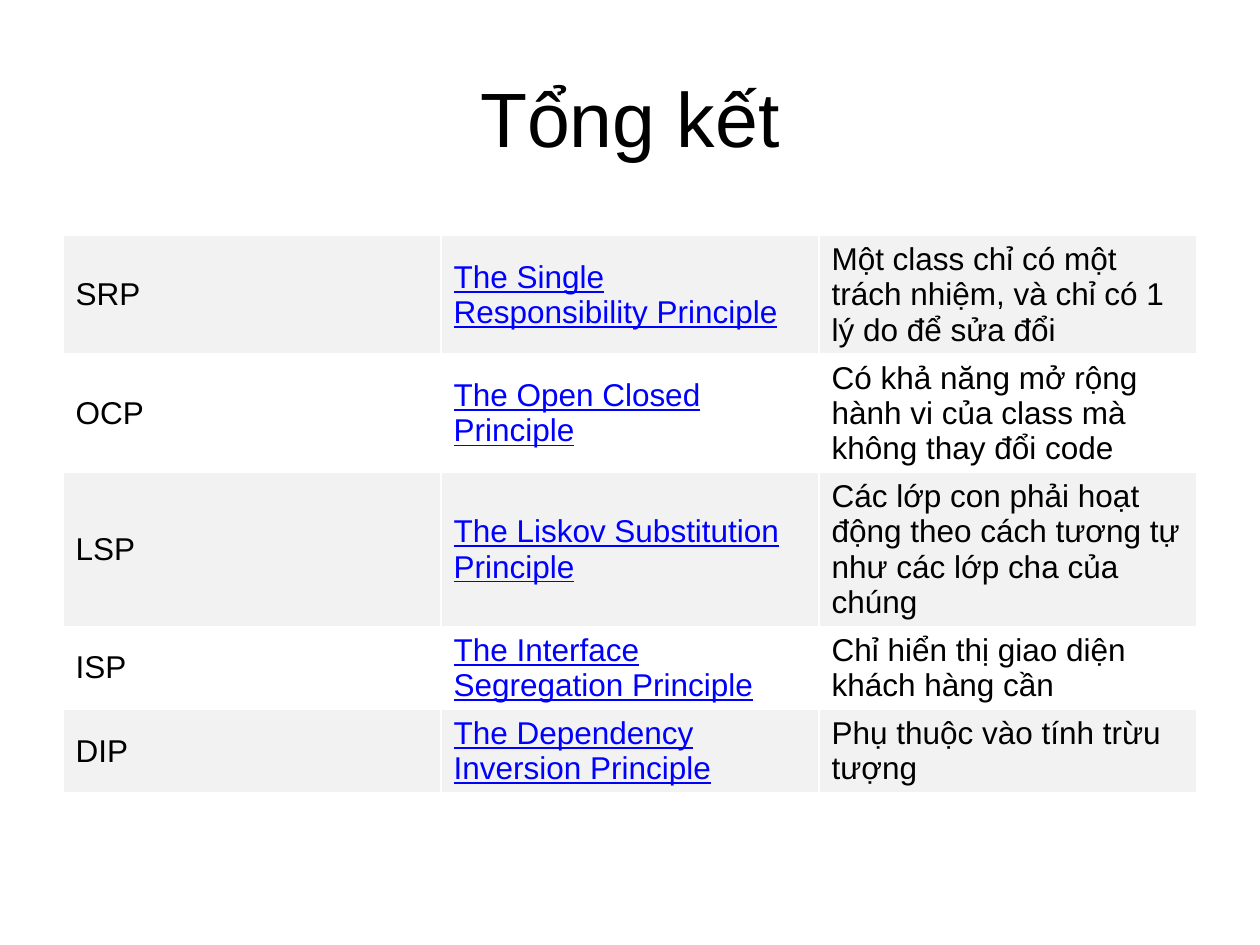
"""Build a summary slide of the five SOLID principles."""
from dataclasses import dataclass

import pptx
import pptx.dml.color
import pptx.enum.text
import pptx.util

Inches = pptx.util.Inches
FONT = "Arial"
BLACK, BLUE = "000000", "0000FF"
BAND_COLORS = ("F2F2F2", "FFFFFF")
COLUMN_WIDTH = 3
LINE_HEIGHT = 0.28
CELL_PADDING = 0.1


@dataclass(frozen=True)
class Principle:
    """One table row and the number of text lines it holds."""
    acronym: str
    name: str
    meaning: str
    lines: int


PRINCIPLES = (
    Principle("SRP", "The Single Responsibility Principle",
              "Một class chỉ có một trách nhiệm, và chỉ có 1 lý do để sửa đổi", 3),
    Principle("OCP", "The Open Closed Principle",
              "Có khả năng mở rộng hành vi của class mà không thay đổi code", 3),
    Principle("LSP", "The Liskov Substitution Principle",
              "Các lớp con phải hoạt động theo cách tương tự như các lớp cha của chúng", 4),
    Principle("ISP", "The Interface Segregation Principle",
              "Chỉ hiển thị giao diện khách hàng cần", 2),
    Principle("DIP", "The Dependency Inversion Principle",
              "Phụ thuộc vào tính trừu tượng", 2),
)


def rgb(color: str) -> pptx.dml.color.RGBColor:
    """Return the color for a hex string."""
    return pptx.dml.color.RGBColor.from_string(color)


def format_text(text_frame, size: float, color: str, underline: bool = False) -> None:
    """Format every run of a text frame."""
    for paragraph in text_frame.paragraphs:
        for run in paragraph.runs:
            run.font.name = FONT
            run.font.size = pptx.util.Pt(size)
            run.font.color.rgb = rgb(color)
            if underline:
                run.font.underline = True


def add_title(slide, text: str) -> None:
    """Place and format the slide title."""
    title = slide.shapes.title
    title.left, title.top = Inches(0.5), Inches(0.3)
    title.width, title.height = Inches(9), Inches(1.25)
    title.text_frame.text = text
    title.text_frame.vertical_anchor = pptx.enum.text.MSO_ANCHOR.MIDDLE
    title.text_frame.paragraphs[0].alignment = pptx.enum.text.PP_ALIGN.CENTER
    format_text(title.text_frame, 44, BLACK)


def fill_cell(cell, text: str, background: str, is_name: bool) -> None:
    """Write one cell, with principle names in underlined blue."""
    cell.fill.solid()
    cell.fill.fore_color.rgb = rgb(background)
    cell.vertical_anchor = pptx.enum.text.MSO_ANCHOR.MIDDLE
    cell.text_frame.text = text
    format_text(cell.text_frame, 18, BLUE if is_name else BLACK, is_name)


def add_principle_table(slide, principles: tuple[Principle, ...]) -> None:
    """Add the banded table of principles."""
    heights = [item.lines * LINE_HEIGHT + CELL_PADDING for item in principles]
    table = slide.shapes.add_table(
        len(principles), 3, Inches(0.5), Inches(1.87),
        Inches(3 * COLUMN_WIDTH), Inches(sum(heights))).table
    table.first_row = False
    table.horz_banding = False
    for column in table.columns:
        column.width = Inches(COLUMN_WIDTH)
    for index, item in enumerate(principles):
        table.rows[index].height = Inches(heights[index])
        background = BAND_COLORS[index % 2]
        for position, text in enumerate((item.acronym, item.name, item.meaning)):
            fill_cell(table.cell(index, position), text, background, position == 1)


def main() -> None:
    """Create and save the presentation."""
    presentation = pptx.Presentation()
    presentation.slide_width, presentation.slide_height = Inches(10), Inches(7.5)
    slide = presentation.slides.add_slide(presentation.slide_layouts[5])
    add_title(slide, "Tổng kết")
    add_principle_table(slide, PRINCIPLES)
    presentation.save("out.pptx")


main()
